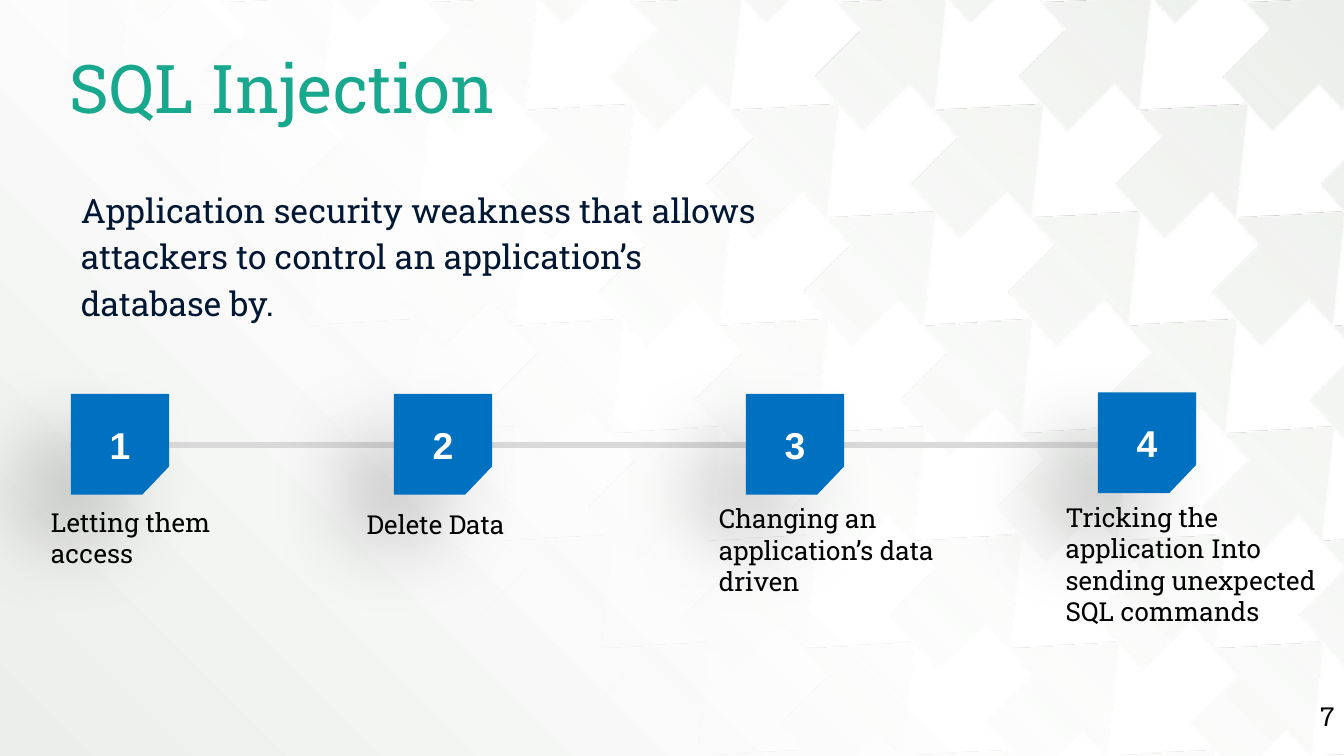
from dataclasses import dataclass
from typing import Any

from lxml.etree import SubElement
from pptx import Presentation
from pptx.dml.color import RGBColor
from pptx.enum.shapes import MSO_CONNECTOR as Connector
from pptx.enum.text import MSO_ANCHOR as Anchor, MSO_AUTO_SIZE as AutoSize, PP_ALIGN as Align
from pptx.oxml.ns import qn
from pptx.util import Pt

Point = tuple[float, float]
Polygon = list[Point]


@dataclass(frozen=True)
class Theme:
    white: str = "FFFFFF"
    mist: str = "EBEEEA"
    title: str = "18A88D"
    body: str = "011733"
    black: str = "000000"
    tag: str = "0070C0"
    track: str = "D9D9D9"
    serif: str = "Roboto Slab"
    sans: str = "Arial"
    title_size: float = 36
    body_size: float = 18
    number_size: float = 20
    label_size: float = 14


@dataclass(frozen=True)
class Box:
    left: float
    top: float
    width: float
    height: float


@dataclass(frozen=True)
class TextStyle:
    size: float
    color: str
    font: str
    bold: bool = False
    align: Align = Align.LEFT
    spacing: float = 1.0


@dataclass(frozen=True)
class Step:
    left: float
    top: float
    label: Box
    lines: list[str]


THEME = Theme()
TITLE = TextStyle(THEME.title_size, THEME.title, THEME.serif, spacing=0.9)
BODY = TextStyle(THEME.body_size, THEME.body, THEME.serif, spacing=1.15)
LABEL = TextStyle(THEME.label_size, THEME.black, THEME.serif)
PAGE = TextStyle(THEME.label_size, THEME.black, THEME.serif, align=Align.RIGHT)
NUMBER = TextStyle(THEME.number_size, THEME.white, THEME.sans, True, Align.CENTER)

SLIDE_WIDTH, SLIDE_HEIGHT = 720, 405
PATTERN_LEFT = 38
TAG_WIDTH, TAG_HEIGHT, TAG_CUT_X, TAG_CUT_Y = 52.6, 54, 14.4, 15.1

# One arrow of the background and the steps that tile it
ARROW = [(0, 0), (13, 14.4), (-12.2, 39.6), (0.7, 54), (13.7, 68.4),
         (38.9, 43.2), (51.8, 57.6), (58.3, -3.6)]
COLUMN_STEP, ROW_SHIFT, ROW_STEP = 109.4, 51.8, 57.6

STEPS = [
    Step(38, 211, Box(20.2, 267.8, 104.4, 41), ["Letting them access"]),
    Step(211, 211, Box(189.4, 268.6, 95.8, 24.5), ["Delete Data"]),
    Step(399.6, 211, Box(378, 265.7, 170, 58.3),
         ["Changing an", "application’s data driven"]),
    Step(588.2, 210.2, Box(563.8, 265, 229, 75),
         ["Tricking the", "application Into", "sending unexpected", "SQL commands"]),
]


def rgb(color: str) -> RGBColor:
    return RGBColor.from_string(color)


def write(frame: Any, lines: list[str], style: TextStyle) -> None:
    for index, line in enumerate(lines):
        paragraph = frame.paragraphs[0] if index == 0 else frame.add_paragraph()
        paragraph.text = line
        paragraph.alignment = style.align
        paragraph.line_spacing = style.spacing
        font = paragraph.font
        font.name, font.size, font.bold = style.font, Pt(style.size), style.bold
        font.color.rgb = rgb(style.color)


def add_text(slide: Any, box: Box, lines: list[str], style: TextStyle) -> Any:
    shape = slide.shapes.add_textbox(Pt(box.left), Pt(box.top), Pt(box.width), Pt(box.height))
    shape.text_frame.word_wrap = True
    write(shape.text_frame, lines, style)
    return shape.text_frame


def remove_insets(frame: Any, left: float = 0) -> None:
    frame.margin_left = Pt(left)
    frame.margin_top = frame.margin_right = frame.margin_bottom = 0


def add_color(parent: Any, color: str, opacity: int) -> None:
    element = SubElement(parent, qn("a:srgbClr"), val=color)
    SubElement(element, qn("a:alpha"), val=str(opacity * 1000))


def set_gradient(fill: Any, owner: Any, stops: list[tuple[int, str, int]]) -> Any:
    """Set (position, color, opacity) stops; return the element awaiting a direction."""
    fill.gradient()
    gradient = next(owner.iter(qn("a:gradFill")))
    for child in list(gradient):
        gradient.remove(child)
    stop_list = SubElement(gradient, qn("a:gsLst"))
    for position, color, opacity in stops:
        add_color(SubElement(stop_list, qn("a:gs"), pos=str(position * 1000)), color, opacity)
    return gradient


def add_outline(slide: Any, polygons: list[Polygon]) -> Any:
    (x, y), *rest = polygons[0]
    builder = slide.shapes.build_freeform(Pt(x), Pt(y))
    builder.add_line_segments([(Pt(a), Pt(b)) for a, b in rest])
    for start, *others in polygons[1:]:
        builder.move_to(Pt(start[0]), Pt(start[1]))
        builder.add_line_segments([(Pt(a), Pt(b)) for a, b in others])
    shape = builder.convert_to_shape()
    shape.shadow.inherit = False
    shape.line.fill.background()
    return shape


def clip(polygon: Polygon, axis: int, limit: float, sign: int) -> Polygon:
    """Keep the part of the polygon where sign * (coordinate - limit) >= 0."""
    result: Polygon = []
    for start, end in zip(polygon, polygon[1:] + polygon[:1]):
        a, b = (sign * (point[axis] - limit) for point in (start, end))
        if a >= 0:
            result.append(start)
        if a * b < 0:
            t = a / (a - b)
            result.append((start[0] + t * (end[0] - start[0]), start[1] + t * (end[1] - start[1])))
    return result


def add_pattern(slide: Any) -> None:
    edges = [(0, PATTERN_LEFT, 1), (0, SLIDE_WIDTH, -1), (1, 0, 1), (1, SLIDE_HEIGHT, -1)]
    arrows = []
    for row in range(-1, 8):
        for column in range(8):
            left = 10.8 + column * COLUMN_STEP + row * ROW_SHIFT
            top = 2.2 + row * ROW_STEP
            arrow = [(left + x, top + y) for x, y in ARROW]
            for edge in edges:
                arrow = clip(arrow, *edge)
            if len(arrow) > 2:
                arrows.append(arrow)
    shape = add_outline(slide, arrows)
    stops = [(0, THEME.mist, 100), (80, THEME.white, 0), (100, THEME.white, 0)]
    gradient = set_gradient(shape.fill, shape._element, stops)
    SubElement(gradient, qn("a:lin"), ang=str(135 * 60000), scaled="0")


def add_background(slide: Any) -> None:
    stops = [(0, THEME.white, 100), (50, THEME.white, 100), (100, THEME.mist, 100)]
    gradient = set_gradient(slide.background.fill, slide._element, stops)
    circle = SubElement(gradient, qn("a:path"))
    circle.set("path", "circle")
    SubElement(circle, qn("a:fillToRect"), l="100000", b="100000")


def add_track(slide: Any) -> None:
    track = slide.shapes.add_connector(
        Connector.STRAIGHT, Pt(37.5), Pt(238.3), Pt(STEPS[-1].left), Pt(238.3))
    track.line.color.rgb = rgb(THEME.track)
    track.line.width = Pt(3)
    SubElement(track._element.spPr, qn("a:effectLst"))


def add_step(slide: Any, number: int, step: Step) -> None:
    right, bottom = step.left + TAG_WIDTH, step.top + TAG_HEIGHT
    tag = add_outline(slide, [[
        (step.left, step.top), (right, step.top), (right, bottom - TAG_CUT_Y),
        (right - TAG_CUT_X, bottom), (step.left, bottom)]])
    tag.fill.solid()
    tag.fill.fore_color.rgb = rgb(THEME.tag)
    effects = tag._element.spPr.find(qn("a:effectLst"))
    shadow = SubElement(effects, qn("a:outerShdw"), blurRad=str(Pt(45)), dist=str(Pt(35)),
                        dir=str(135 * 60000), algn="tr", rotWithShape="0")
    add_color(shadow, THEME.black, 20)
    tag.text_frame.vertical_anchor = Anchor.MIDDLE
    write(tag.text_frame, [str(number)], NUMBER)
    add_text(slide, step.label, step.lines, LABEL).auto_size = AutoSize.SHAPE_TO_FIT_TEXT


def main() -> None:
    presentation = Presentation()
    presentation.slide_width, presentation.slide_height = Pt(SLIDE_WIDTH), Pt(SLIDE_HEIGHT)
    slide = presentation.slides.add_slide(presentation.slide_layouts[6])
    add_background(slide)
    add_pattern(slide)

    # Heading, introduction and page number
    remove_insets(add_text(slide, Box(37.5, 29.5, 348.5, 57), ["SQL Injection"], TITLE))
    introduction = ["Application security weakness that allows",
                    "attackers to control an application’s", "database by."]
    remove_insets(add_text(slide, Box(37.5, 98.6, 672.5, 277), introduction, BODY), left=5.8)
    page = add_text(slide, Box(661.7, 368, 53.3, 31), ["7"], PAGE)
    remove_insets(page)
    page.vertical_anchor = Anchor.MIDDLE

    # Timeline
    add_track(slide)
    for number, step in enumerate(STEPS, start=1):
        add_step(slide, number, step)
    presentation.save("out.pptx")


if __name__ == "__main__":
    main()
